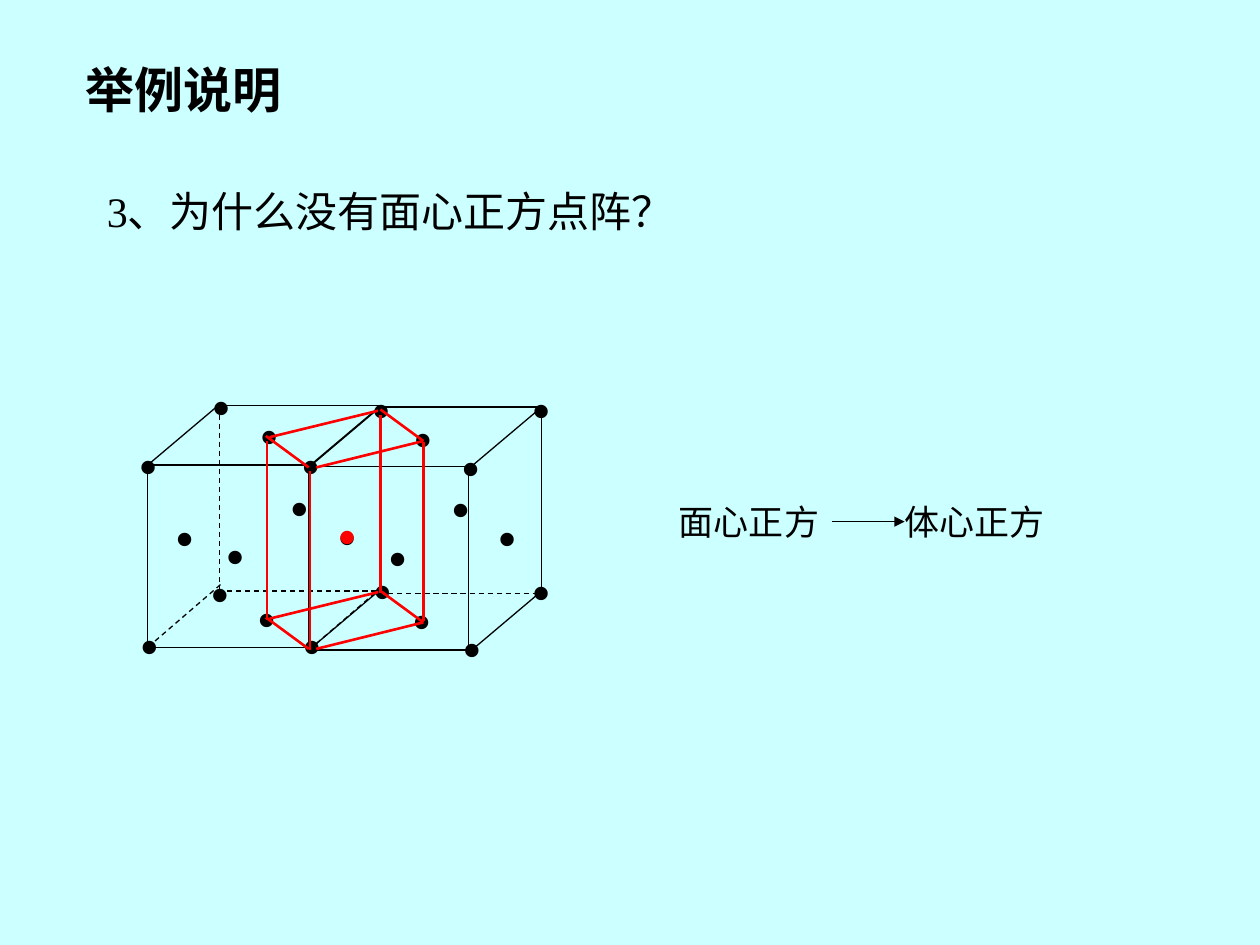
import dataclasses
import pptx
import pptx.dml.color
import pptx.enum.dml
import pptx.enum.shapes
import pptx.enum.text
import pptx.oxml.ns
import pptx.util
from lxml import etree
from pptx.util import Inches


@dataclasses.dataclass(frozen=True)
class Theme:
    font: str = "Times New Roman"
    background: str = "CCFFFF"
    ink: str = "000000"
    accent: str = "FF0000"
    title_size: int = 28
    question_size: int = 24
    label_size: int = 20
    dot_size: int = 32
    thin: float = 0.75
    thick: float = 1.5


THEME = Theme()
LEFT_DOTS = [
    (1.58, 2.9), (2.85, 2.92), (1.29, 3.94), (2.29, 3.37), (1.57, 4.38),
    (1.01, 4.8), (2.86, 4.36), (2.3, 4.8), (1.96, 3.13), (1.94, 4.58),
    (1, 3.37), (2.58, 3.93), (2.2, 3.7), (1.69, 4.08),
]
RIGHT_DOTS = [
    (4.12, 2.92), (3.56, 3.38), (4.12, 4.37), (3.57, 4.82), (3.18, 3.15),
    (3.17, 4.6), (3.85, 3.94), (3.48, 3.71), (2.98, 4.1),
]
PRISM_TOP_EDGES = [
    ((2.14, 3.47), (3, 3.26)),
    ((2.51, 3.71), (3.36, 3.5)),
    ((2.11, 3.46), (2.45, 3.71)),
    ((3.02, 3.25), (3.36, 3.5)),
]
PRISM_CORNERS = [(2.12, 3.5), (2.46, 3.74), (3.02, 3.29), (3.36, 3.51)]
PRISM_HEIGHT = 1.42
PRISM_BASE_SHIFT = 1.44


def write_text(text_frame, text, *, size, color=THEME.ink, bold=False, line_spacing=None):
    paragraph = text_frame.paragraphs[0]
    paragraph.line_spacing = line_spacing
    run = paragraph.add_run()
    run.text = text
    run.font.name = THEME.font
    run.font.size = pptx.util.Pt(size)
    run.font.bold = bold
    run.font.color.rgb = pptx.dml.color.RGBColor.from_string(color)


class SlideBuilder:
    def __init__(self, slide, theme):
        self.slide = slide
        self.theme = theme
        fill = slide.background.fill
        fill.solid()
        fill.fore_color.rgb = pptx.dml.color.RGBColor.from_string(theme.background)

    def text(self, text, left, top, width, height, *, wrap=True,
             anchor=pptx.enum.text.MSO_ANCHOR.TOP, **style):
        shape = self.slide.shapes.add_textbox(
            Inches(left), Inches(top), Inches(width), Inches(height))
        shape.text_frame.word_wrap = wrap
        shape.text_frame.vertical_anchor = anchor
        write_text(shape.text_frame, text, **style)

    def dot(self, left, top, **style):
        self.text("•", left, top, 0.36, 0.63, wrap=False, size=self.theme.dot_size, **style)

    def line(self, start, end, *, color=THEME.ink, width=THEME.thin, dashed=False, arrow=False):
        connector = self.slide.shapes.add_connector(
            pptx.enum.shapes.MSO_CONNECTOR.STRAIGHT,
            *(Inches(length) for length in (*start, *end)))
        connector.line.color.rgb = pptx.dml.color.RGBColor.from_string(color)
        connector.line.width = pptx.util.Pt(width)
        if dashed:
            connector.line.dash_style = pptx.enum.dml.MSO_LINE.DASH
        if arrow:
            outline = connector.line._get_or_add_ln()
            etree.SubElement(outline, pptx.oxml.ns.qn("a:tailEnd"), type="triangle")
        etree.SubElement(connector._element.spPr, pptx.oxml.ns.qn("a:effectLst"))

    def cell(self, left, top, width, height):
        edges = [
            ((0, 0), (width, 0), False),
            ((0, 0), (-0.58, 0.49), False),
            ((width, 0), (width - 0.58, 0.49), False),
            ((-0.58, 0.47), (width - 0.58, 0.47), False),
            ((-0.56, 0.47), (-0.56, height + 0.47), False),
            ((width - 0.58, 0.47), (width - 0.58, height + 0.47), False),
            ((width, 0.02), (width, height + 0.02), False),
            ((-0.56, height + 0.45), (width - 0.55, height + 0.45), False),
            ((0, height), (width, height), True),
            ((0.01, 0), (0.01, height), True),
            ((width, height - 0.02), (width - 0.58, height + 0.47), False),
            ((0.02, height - 0.05), (-0.56, height + 0.45), True),
        ]
        for (x1, y1), (x2, y2), dashed in edges:
            self.line((left + x1, top + y1), (left + x2, top + y2), dashed=dashed)

    def prism(self):
        style = {"color": self.theme.accent, "width": self.theme.thick}
        for x, y in PRISM_CORNERS:
            self.line((x, y), (x, y + PRISM_HEIGHT), **style)
        for (x1, y1), (x2, y2) in PRISM_TOP_EDGES:
            for shift in (0, PRISM_BASE_SHIFT):
                self.line((x1, y1 + shift), (x2, y2 + shift), **style)


def main():
    presentation = pptx.Presentation()
    presentation.slide_width = Inches(10)
    presentation.slide_height = Inches(7.5)
    builder = SlideBuilder(presentation.slides.add_slide(presentation.slide_layouts[6]), THEME)

    builder.text("举例说明", 0.58, 0.33, 2.67, 0.75, size=THEME.title_size, bold=True,
                 anchor=pptx.enum.text.MSO_ANCHOR.MIDDLE)
    builder.text("3、为什么没有面心正方点阵？", 0.75, 1.42, 8.5, 0.67, size=THEME.question_size)

    for label, left in (("面心正方", 5.29), ("体心正方", 7.08)):
        builder.text(label, left, 3.92, 1.4, 0.43, size=THEME.label_size)
    builder.line((6.6, 4.14), (7.18, 4.14), arrow=True)

    for cell, dots in (((1.73, 3.22, 1.3, 1.47), LEFT_DOTS),
                       ((3.01, 3.23, 1.29, 1.48), RIGHT_DOTS)):
        builder.cell(*cell)
        for left, top in dots:
            builder.dot(left, top)

    builder.prism()
    builder.dot(2.58, 3.98, color=THEME.accent, line_spacing=0.9)
    presentation.save("out.pptx")


if __name__ == "__main__":
    main()
